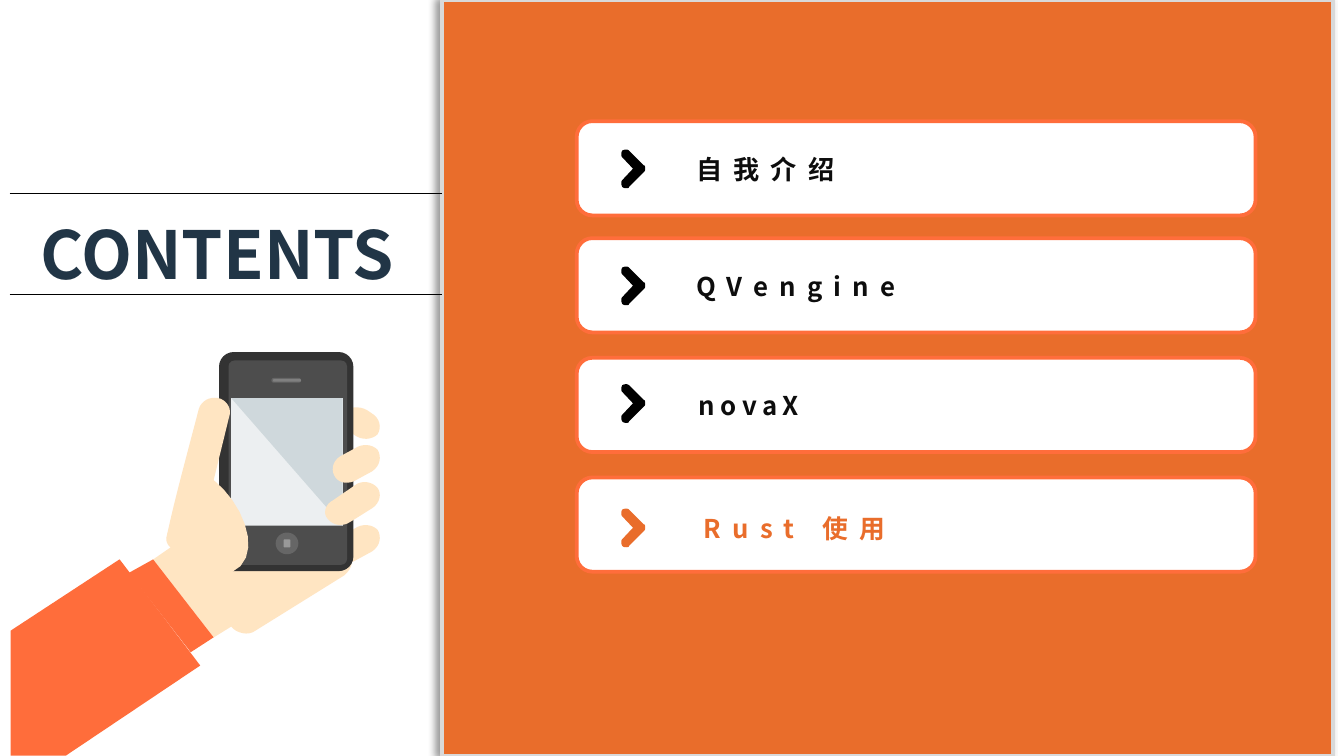
"""Build the contents slide: a hand holding a phone beside four topic cards."""
from typing import NamedTuple

from lxml.etree import SubElement
from pptx import Presentation
from pptx.dml.color import RGBColor
from pptx.enum.shapes import MSO_CONNECTOR, MSO_SHAPE as Shp
from pptx.enum.text import MSO_ANCHOR, MSO_AUTO_SIZE, PP_ALIGN
from pptx.oxml.ns import qn
from pptx.util import Cm, Pt

FONT = "Noto Sans CJK SC"
WHITE = RGBColor(0xFF, 0xFF, 0xFF)
BLACK = RGBColor(0x00, 0x00, 0x00)
INK = RGBColor(0x0D, 0x0D, 0x0D)
NAVY = RGBColor(0x21, 0x35, 0x46)
ORANGE = RGBColor(0xE9, 0x6D, 0x2B)
CORAL = RGBColor(0xFF, 0x6D, 0x3B)
SILVER = RGBColor(0xD9, 0xD9, 0xD9)
SKIN = RGBColor(0xFF, 0xE5, 0xC2)
CASE = RGBColor(0x33, 0x33, 0x33)
FACE = RGBColor(0x4D, 0x4D, 0x4D)
GREY = RGBColor(0x66, 0x66, 0x66)
MID_GREY = RGBColor(0x80, 0x80, 0x80)
LIGHT_GREY = RGBColor(0x99, 0x99, 0x99)
SCREEN = RGBColor(0xEC, 0xEF, 0xF1)
GLARE = RGBColor(0xCF, 0xD8, 0xDC)

UNIT = Cm(0.0254)
STEPS = 8


class Topic(NamedTuple):
    text: str
    card_top: float
    chevron_dy: float
    before: float
    indent: float
    size: float = 13.8
    spacing: int = 600
    color: RGBColor = INK
    chevron: RGBColor = BLACK


class Part(NamedTuple):
    kind: Shp
    box: tuple
    fill: RGBColor
    radius: float | None = None


class Outline(NamedTuple):
    points: list
    fill: RGBColor
    dy: float = 0


TOPICS = [
    Topic("自我介绍", 2.29, 0, 0, 0, size=14),
    Topic("QVengine", 4.5, 87, 45.2, 0),
    Topic("novaX", 6.76, 174.5, 46.2, 0.05, spacing=300),
    Topic("Rust 使用", 9.02, 267, 48.4, 0.15, color=ORANGE, chevron=ORANGE),
]

PHONE = [
    Part(Shp.ROUNDED_RECTANGLE, (4.14, 6.65, 2.54, 4.14), CASE, 0.11),
    Part(Shp.ROUNDED_RECTANGLE, (4.32, 6.81, 2.24, 3.86), FACE, 0.05),
    Part(Shp.RECTANGLE, (4.37, 7.52, 2.11, 2.41), SCREEN),
    Part(Shp.ROUNDED_RECTANGLE, (5.13, 7.14, 0.56, 0.09), GREY, 0.5),
    Part(Shp.ROUNDED_RECTANGLE, (5.16, 7.16, 0.53, 0.05), MID_GREY, 0.5),
    Part(Shp.OVAL, (5.21, 10.06, 0.43, 0.41), GREY),
    Part(Shp.ROUNDED_RECTANGLE, (5.36, 10.19, 0.13, 0.15), LIGHT_GREY, 0.15),
]

FINGER = [(250, 415), (253, 419, 260, 420, 266, 416), (277, 410),
          (283, 406, 284, 399, 281, 394), (277, 390, 270, 389, 264, 393),
          (253, 399), (247, 403, 246, 410, 250, 415)]
LONG_FINGER = [(244, 386), (248, 391, 255, 392, 261, 388), (277, 378),
               (283, 374, 284, 367, 281, 363), (277, 358, 269, 357, 264, 361),
               (248, 372), (242, 375, 240, 382, 244, 386)]
TOP_FINGER = [(281, 323), (277, 327, 269, 328, 263, 323), (260, 322),
              (255, 318, 252, 311, 256, 307), (259, 302, 268, 302, 273, 305),
              (276, 307), (283, 311, 284, 318, 281, 323)]
SLEEVE = [(89, 416), (8, 469), (8, 562), (49, 562), (149, 495)]
CUFF = [(142, 485), (159, 474), (114, 416), (96, 426)]
PALM = [(259, 411), (214, 351), (210, 346, 201, 345, 196, 349), (130, 390),
        (124, 394, 122, 401, 127, 407), (114, 416), (159, 474), (172, 466),
        (176, 471, 185, 473, 190, 469), (256, 428),
        (262, 423, 264, 416, 259, 411)]
THUMB = [(159, 357), (180, 374, 193, 406, 179, 421),
         (164, 437, 135, 416, 127, 407), (125, 406, 123, 402, 124, 399),
         (131, 367, 140, 335, 148, 304), (150, 298, 156, 295, 162, 296),
         (168, 297, 172, 303, 171, 308)]
CHEVRON = [(468, 112), (467, 111, 465, 111, 463, 112),
           (462, 114, 462, 116, 463, 117), (471, 125.5), (463, 134),
           (462, 135, 462, 137, 463, 139), (464, 140, 465, 140, 466, 140),
           (467, 140, 468, 140, 468, 139), (479, 128),
           (480, 127, 480, 127, 480, 125.5), (480, 124, 480, 123, 479, 123)]
REFLECTION = [(255, 296), (172, 296), (255, 391)]

BEHIND_PHONE = [Outline(FINGER, SKIN), Outline(SLEEVE, CORAL),
                Outline(PALM, SKIN), Outline(TOP_FINGER, SKIN)]
OVER_PHONE = [Outline(REFLECTION, GLARE), Outline(THUMB, SKIN),
              Outline(FINGER, SKIN, -59.5), Outline(LONG_FINGER, SKIN),
              Outline(CUFF, CORAL)]


def flatten(points: list) -> list:
    """Turn corners and cubic curves into a run of plain points."""
    flat = [points[0]]
    for point in points[1:]:
        if len(point) == 2:
            flat.append(point)
            continue
        curve = [flat[-1], point[:2], point[2:4], point[4:]]
        for i in range(1, STEPS + 1):
            t = i / STEPS
            weights = ((1 - t) ** 3, 3 * t * (1 - t) ** 2, 3 * t * t * (1 - t), t ** 3)
            flat.append(tuple(sum(w * q[axis] for w, q in zip(weights, curve))
                              for axis in (0, 1)))
    return flat


def paint(sp, fill: RGBColor, line: RGBColor | None = None) -> None:
    """Give a shape a flat fill and an optional two-point line."""
    sp.shadow.inherit = False
    sp.fill.solid()
    sp.fill.fore_color.rgb = fill
    if line is None:
        sp.line.fill.background()
    else:
        sp.line.color.rgb = line
        sp.line.width = Pt(2)


def draw_part(s, part: Part, line: RGBColor | None = None):
    """Draw a preset shape."""
    sp = s.shapes.add_shape(part.kind, *map(Cm, part.box))
    if part.radius is not None:
        sp.adjustments[0] = part.radius
    paint(sp, part.fill, line)
    return sp


def draw_outline(s, outline: Outline) -> None:
    """Draw a closed outline given in drawing units."""
    first, *rest = [(x * UNIT, (y + outline.dy) * UNIT)
                    for x, y in flatten(outline.points)]
    builder = s.shapes.build_freeform(*first)
    builder.add_line_segments(rest, close=True)
    paint(builder.convert_to_shape(), outline.fill)


def cast_left_shadow(sp) -> None:
    """Add a soft shadow on the left of a shape."""
    effects = sp.element.spPr.find(qn("a:effectLst"))
    shadow = SubElement(effects, qn("a:outerShdw"), blurRad=str(Pt(4)),
                        dist=str(Pt(3)), dir="10800000", algn="r", rotWithShape="0")
    color = SubElement(shadow, qn("a:srgbClr"), val=str(BLACK))
    SubElement(color, qn("a:alpha"), val="40000")


def draw_rule(s, y: float) -> None:
    """Draw a thin rule from the left edge to the panel."""
    c = s.shapes.add_connector(MSO_CONNECTOR.STRAIGHT, Cm(0.18), Cm(y), Cm(8.36), Cm(y))
    c.line.color.rgb = BLACK
    c.line.width = Pt(0.75)
    SubElement(c.element.spPr, qn("a:effectLst"))


def place_text(sp, box: tuple):
    """Move a placeholder to the front and into its box."""
    sp.left, sp.top, sp.width, sp.height = map(Cm, box)
    sp.element.getparent().append(sp.element)
    tf = sp.text_frame
    tf.word_wrap = True
    tf.auto_size = MSO_AUTO_SIZE.NONE
    tf.vertical_anchor = MSO_ANCHOR.TOP
    return tf


def write(p, text: str, size: float, color: RGBColor, leading: float) -> None:
    """Add one bold run to a left-aligned paragraph."""
    p.alignment = PP_ALIGN.LEFT
    p.line_spacing = Pt(leading)
    r = p.add_run()
    r.text = text
    r.font.name = FONT
    r.font.size = Pt(size)
    r.font.bold = True
    r.font.color.rgb = color
    SubElement(r.font._element, qn("a:ea"), typeface=FONT)


def write_topic(p, topic: Topic) -> None:
    """Write one topic of the list without a bullet."""
    write(p, topic.text, topic.size, topic.color, 17.5)
    p.space_before = Pt(topic.before)
    p.space_after = Pt(0)
    p.runs[0].font._element.set("spc", str(topic.spacing))
    pPr = p._p.get_or_add_pPr()
    pPr.set("marL", str(Cm(topic.indent)))
    pPr.set("indent", "0")
    SubElement(pPr, qn("a:buNone"))


def main() -> None:
    """Assemble and save the slide."""
    prs = Presentation()
    prs.slide_width, prs.slide_height = Cm(25.4), Cm(14.28)
    s = prs.slides.add_slide(prs.slide_layouts[1])

    panel = Part(Shp.RECTANGLE, (8.36, 0, 16.84, 14.28), ORANGE)
    cast_left_shadow(draw_part(s, panel, SILVER))
    for topic in TOPICS:
        card = Part(Shp.ROUNDED_RECTANGLE, (10.9, topic.card_top, 12.83, 1.78), WHITE)
        draw_part(s, card, CORAL)
        draw_outline(s, Outline(CHEVRON, topic.chevron, topic.chevron_dy))

    for outline in BEHIND_PHONE:
        draw_outline(s, outline)
    for part in PHONE:
        draw_part(s, part)
    for outline in OVER_PHONE:
        draw_outline(s, outline)
    for y in (3.66, 5.56):
        draw_rule(s, y)

    tf = place_text(s.shapes.title, (0.51, 3.81, 11.13, 1.78))
    write(tf.paragraphs[0], "CONTENTS", 35.5, NAVY, 45)
    tf = place_text(s.placeholders[1], (12.9, 2.74, 6.96, 7.62))
    for i, topic in enumerate(TOPICS):
        write_topic(tf.add_paragraph() if i else tf.paragraphs[0], topic)
    prs.save("out.pptx")


if __name__ == "__main__":
    main()
